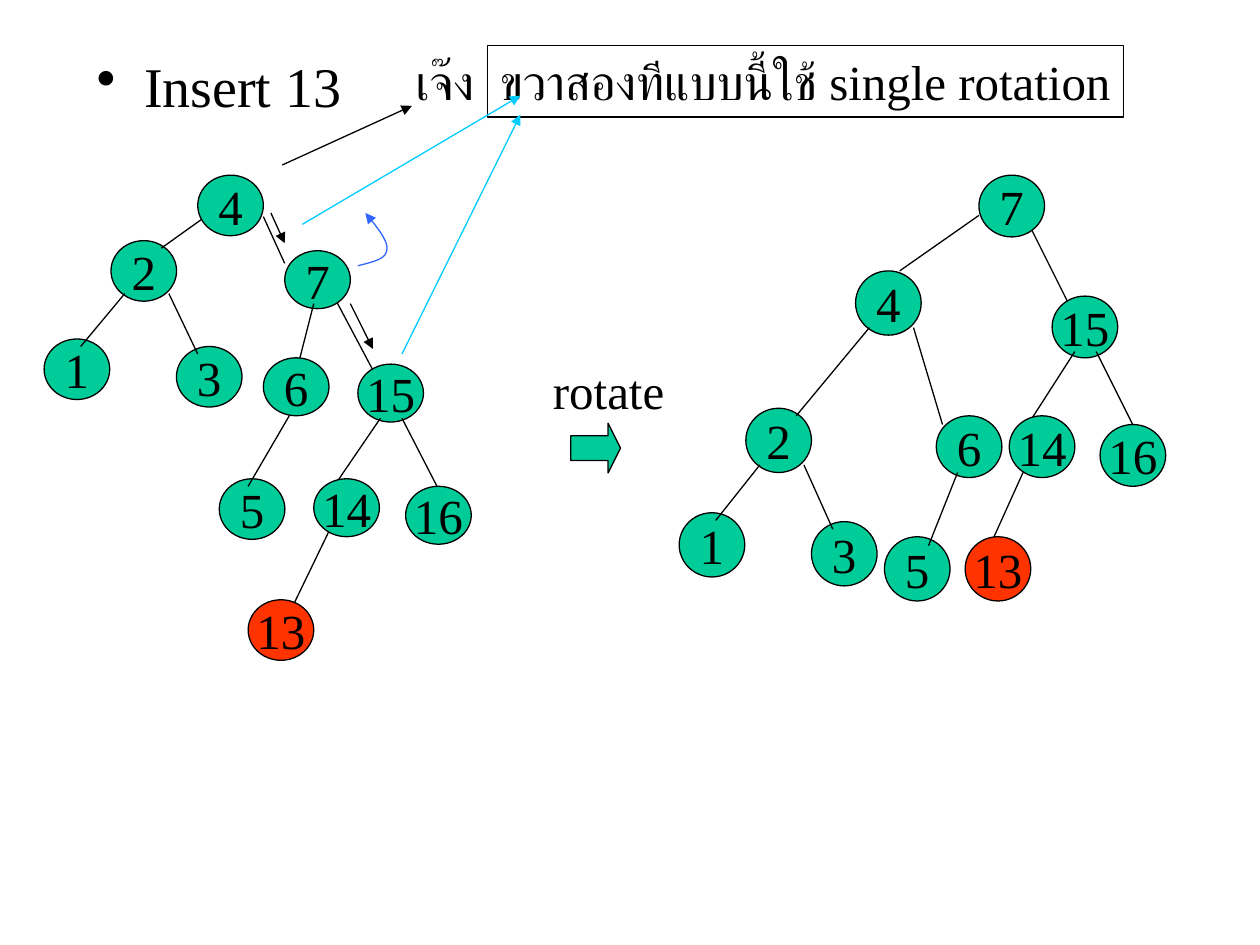
"""Build a slide showing an AVL insert of 13 fixed by a single rotation."""
from lxml import etree
from pptx import Presentation
from pptx.dml.color import RGBColor
from pptx.enum import shapes, text
from pptx.oxml import ns
from pptx.util import Pt

COLORS = {"ink": "000000", "node": "00CC99", "new": "FF3300", "cyan": "00CCFF", "blue": "3366FF"}
FONT = "Times New Roman"
NODE_W = 37.5
EDGE = "edge"

prs = Presentation()
prs.slide_width, prs.slide_height = Pt(720), Pt(540)
s = prs.slides.add_slide(prs.slide_layouts[6])


def style_line(sp, color="ink", arrow=False):
    sp.line.color.rgb = RGBColor.from_string(COLORS[color])
    sp.line.width = Pt(0.75)
    if arrow:
        etree.SubElement(sp.line._get_or_add_ln(), ns.qn("a:tailEnd"), type="triangle")
    if sp._element.spPr.find(ns.qn("a:effectLst")) is None:
        etree.SubElement(sp._element.spPr, ns.qn("a:effectLst"))


def add_text(sp, words, size=28, wrap=False):
    tf = sp.text_frame
    tf.word_wrap = wrap
    p = tf.paragraphs[0]
    r = p.add_run()
    r.text = words
    r.font.size, r.font.name = Pt(size), FONT
    r.font.color.rgb = RGBColor.from_string(COLORS["ink"])
    return p


sp = s.shapes.add_textbox(Pt(48.2), Pt(25.9), Pt(589.7), Pt(51.1))
p = add_text(sp, "Insert 13", 32, True)
p.space_before = Pt(8)
pPr = p._p.get_or_add_pPr()
pPr.set("marL", str(Pt(27)))
pPr.set("indent", str(-Pt(27)))
etree.SubElement(pPr, ns.qn("a:buChar"), char="•")

labels = [
    ("เจ๊ง", 230.4, 25.9, 47.5),
    ("ขวาสองทีแบบนี้ใช้ single rotation", 278.6, 25.9, 363.6),
    ("rotate", 308.9, 202.3, 77.8),
]
for words, x, y, w in labels:
    sp = s.shapes.add_textbox(Pt(x), Pt(y), Pt(w), Pt(41))
    add_text(sp, words)
    sp.text_frame.auto_size = text.MSO_AUTO_SIZE.SHAPE_TO_FIT_TEXT
    if "single" in words:
        style_line(sp)

arrows = [
    ("ink", 161.3, 94.3, 235.4, 60.5),
    ("cyan", 172.8, 128.2, 297.4, 54.7),
    ("cyan", 229.7, 202.3, 297.4, 65.5),
    ("ink", 154.8, 121.7, 162.7, 139),
    ("ink", 200.2, 173.5, 213.1, 199.4),
]
for color, *ends in arrows:
    sp = s.shapes.add_connector(shapes.MSO_CONNECTOR.STRAIGHT, *map(Pt, ends))
    style_line(sp, color, True)

before = [
    ("3", 100.8, 198, 34.6),
    ("2", 63.4, 137.5, 34.6),
    (EDGE, 117.4, 123.8, 92.2, 141.8),
    ("1", 25.2, 193.7, 34.6),
    (EDGE, 71.3, 167.8, 46.1, 198),
    ("4", 113, 100.1, 34.6),
    (EDGE, 150.5, 123.8, 162.7, 150.5),
    (EDGE, 96.5, 167.8, 113, 202.3),
    ("5", 125.3, 273.6, 34.6),
    (EDGE, 167, 234.7, 141.8, 277.9),
    ("6", 150.5, 204.5, 33.1),
    (EDGE, 192.2, 172.1, 217.4, 219.6),
    ("15", 204.5, 208.1, 33.1),
    (EDGE, 229.7, 239, 254.2, 286.6),
    ("16", 231.8, 277.9, 33.1),
    (EDGE, 217.4, 239, 187.9, 282.2),
    ("7", 162.7, 143.3, 33.1),
    ("14", 179.3, 273.6, 33.1),
    (EDGE, 179.3, 173.5, 171.4, 204.5),
    (EDGE, 187.9, 303.8, 167, 347),
    ("13", 141.8, 342.7, 34.6),
]
after = [
    ("3", 463.7, 298.1, 36.7),
    ("2", 426.2, 233.3, 36.7),
    ("1", 388.1, 293, 36.7),
    (EDGE, 434.2, 265.7, 409, 297.4),
    ("4", 488.9, 154.8, 36.7),
    (EDGE, 514.1, 154.8, 559.4, 123.1),
    (EDGE, 459.4, 265.7, 475.9, 302.4),
    ("5", 505.4, 306.7, 36.7),
    (EDGE, 522, 187.2, 538.6, 242.6),
    ("6", 535, 237.6, 35.3),
    (EDGE, 589, 130.3, 614.2, 180.7),
    ("15", 601.2, 169.2, 35.3),
    (EDGE, 626.4, 200.9, 651.6, 251.3),
    ("16", 628.6, 242.6, 35.3),
    (EDGE, 614.2, 200.9, 584.6, 247),
    ("7", 559.4, 100.1, 35.3),
    ("14", 576.7, 237.6, 35.3),
    (EDGE, 584.6, 270, 563.8, 316.1),
    ("13", 551.5, 306.7, 36.7),
    (EDGE, 547.2, 270, 530.6, 311.8),
    (EDGE, 496.8, 187.2, 455, 237.6),
]
for kind, *geo in before + after:
    if kind == EDGE:
        sp = s.shapes.add_connector(shapes.MSO_CONNECTOR.STRAIGHT, *map(Pt, geo))
    else:
        x, y, h = geo
        sp = s.shapes.add_shape(shapes.MSO_SHAPE.OVAL, Pt(x), Pt(y), Pt(NODE_W), Pt(h))
        sp.fill.solid()
        sp.fill.fore_color.rgb = RGBColor.from_string(COLORS["new" if kind == "13" else "node"])
        add_text(sp, kind).alignment = text.PP_ALIGN.CENTER
        sp.text_frame.vertical_anchor = text.MSO_ANCHOR.MIDDLE
    style_line(sp)

curves = [
    ((204.5, 151.9), (212.4, 149.8), (220.3, 148.3), (221, 143.3)),
    ((221, 143.3), (222.5, 138.2), (215.3, 129.6), (208.8, 121.7)),
]
steps = 12
points = []
for curve in curves:
    for i in range(1, steps + 1):
        t = i / steps
        weights = ((1 - t) ** 3, 3 * t * (1 - t) ** 2, 3 * t ** 2 * (1 - t), t ** 3)
        points.append([Pt(sum(w * c for w, c in zip(weights, axis))) for axis in zip(*curve)])
fb = s.shapes.build_freeform(*map(Pt, curves[0][0]))
fb.add_line_segments(points, close=False)
sp = fb.convert_to_shape()
sp.fill.background()
style_line(sp, "blue", True)

sp = s.shapes.add_shape(shapes.MSO_SHAPE.RIGHT_ARROW, Pt(326.2), Pt(241.9), Pt(28.4), Pt(28.4))
sp.adjustments[0], sp.adjustments[1] = 0.5, 0.25
sp.fill.solid()
sp.fill.fore_color.rgb = RGBColor.from_string(COLORS["node"])
style_line(sp)

prs.save("out.pptx")
